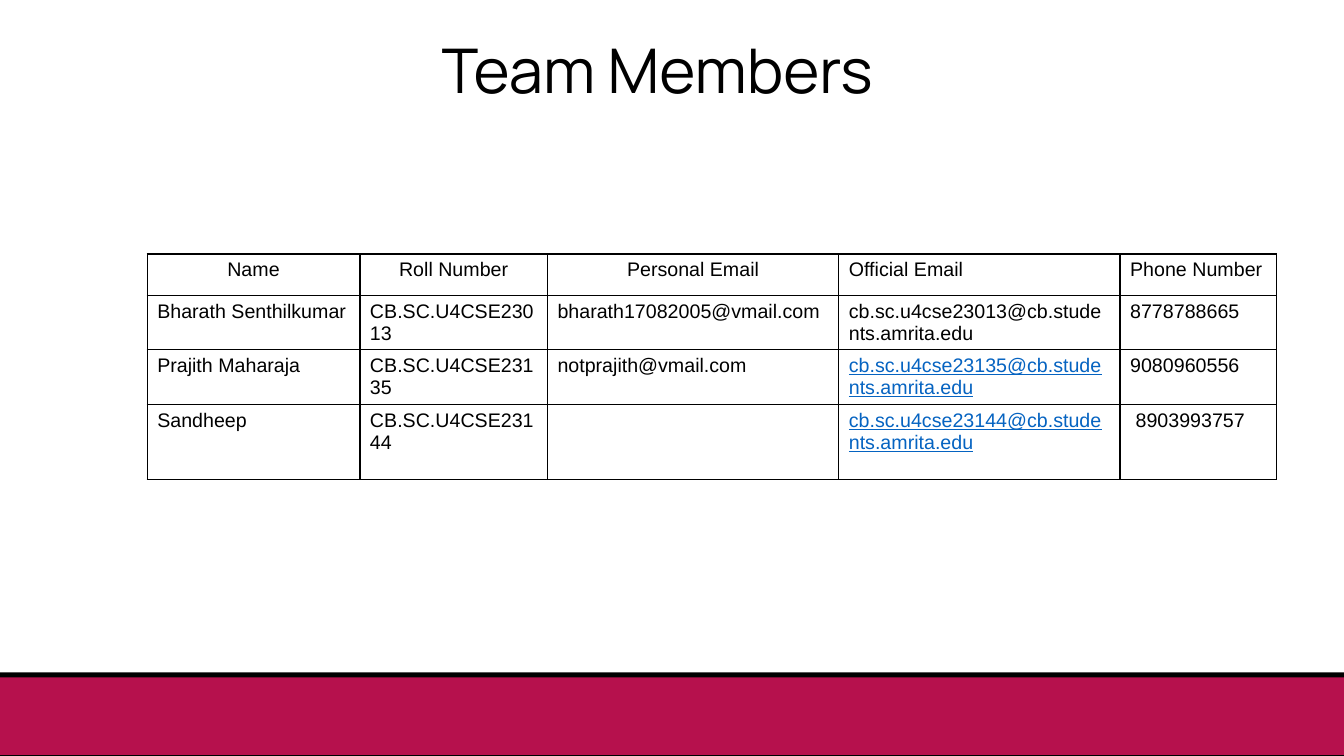
from lxml import etree
from pptx import Presentation
from pptx.dml.color import RGBColor
from pptx.enum.shapes import MSO_SHAPE
from pptx.enum.text import MSO_ANCHOR, PP_ALIGN
from pptx.oxml.ns import qn
from pptx.util import Inches, Pt

CENTER, LEFT = PP_ALIGN.CENTER, PP_ALIGN.LEFT
MIDDLE = MSO_ANCHOR.MIDDLE
RECTANGLE = MSO_SHAPE.RECTANGLE

COLORS = {"black": "000000", "crimson": "B6114D", "link": "0563C1"}
TITLE = "Team Members"
MEMBERS = [
    ("Name", "Roll Number", "Personal Email", "Official Email", "Phone Number"),
    ("Bharath Senthilkumar", "CB.SC.U4CSE23013", "bharath17082005@vmail.com",
     "cb.sc.u4cse23013@cb.students.amrita.edu", "8778788665"),
    ("Prajith Maharaja", "CB.SC.U4CSE23135", "notprajith@vmail.com",
     "cb.sc.u4cse23135@cb.students.amrita.edu", "9080960556"),
    ("Sandheep", "CB.SC.U4CSE23144", "",
     "cb.sc.u4cse23144@cb.students.amrita.edu", " 8903993757"),
]
COLUMN_WIDTHS = [2.11, 1.86, 2.89, 2.79, 1.55]
ROW_HEIGHTS = [0.41, 0.54, 0.54, 0.75]
CENTERED_HEADINGS = 3
OFFICIAL_EMAIL = 3
FIRST_LINKED_ROW = 2
FOOTER_BANDS = [(6.67, 0.84, "black"), (6.72, 0.77, "crimson")]


def color(name):
    return RGBColor.from_string(COLORS[name])


def add_footer_band(slide, top, height, fill):
    band = slide.shapes.add_shape(
        RECTANGLE, 0, Inches(top), Inches(13.33), Inches(height))
    band.shadow.inherit = False
    band.fill.solid()
    band.fill.fore_color.rgb = color(fill)
    band.line.fill.background()


def format_title(title):
    title.left, title.top = Inches(0.77), Inches(0)
    title.width, title.height = Inches(11.5), Inches(1.45)
    title.text_frame.text = TITLE
    title.text_frame.vertical_anchor = MIDDLE
    para = title.text_frame.paragraphs[0]
    para.alignment = CENTER
    para.line_spacing = 0.9
    font = para.runs[0].font
    font.name, font.size = "Manrope", Pt(44)
    font.color.rgb = color("black")


def add_borders(cell):
    properties = cell._tc.get_or_add_tcPr()
    for index, side in enumerate(("a:lnL", "a:lnR", "a:lnT", "a:lnB")):
        line = etree.Element(qn(side), w=str(Pt(1)))
        fill = etree.SubElement(line, qn("a:solidFill"))
        etree.SubElement(fill, qn("a:srgbClr"), val=COLORS["black"])
        properties.insert(index, line)


def fill_cell(cell, text, alignment, linked):
    cell.fill.background()
    add_borders(cell)
    cell.text_frame.text = text
    para = cell.text_frame.paragraphs[0]
    para.alignment = alignment
    for span in para.runs:
        span.font.name, span.font.size = "Arial", Pt(14)
        span.font.bold = False
        span.font.underline = linked
        span.font.color.rgb = color("link" if linked else "black")


def add_member_table(slide):
    frame = slide.shapes.add_table(
        len(MEMBERS), len(COLUMN_WIDTHS), Inches(1.46), Inches(2.52),
        Inches(sum(COLUMN_WIDTHS)), Inches(sum(ROW_HEIGHTS)))
    table = frame.table
    table.first_row = table.horz_banding = False
    for column, width in zip(table.columns, COLUMN_WIDTHS):
        column.width = Inches(width)
    for row, height in zip(table.rows, ROW_HEIGHTS):
        row.height = Inches(height)
    for r, member in enumerate(MEMBERS):
        for c, text in enumerate(member):
            alignment = CENTER if r == 0 and c < CENTERED_HEADINGS else LEFT
            linked = c == OFFICIAL_EMAIL and r >= FIRST_LINKED_ROW
            fill_cell(table.cell(r, c), text, alignment, linked)


def main():
    deck = Presentation()
    deck.slide_width, deck.slide_height = Inches(13.33), Inches(7.5)
    slide = deck.slides.add_slide(deck.slide_layouts[5])
    for top, height, fill in FOOTER_BANDS:
        add_footer_band(slide, top, height, fill)
    format_title(slide.shapes.title)
    add_member_table(slide)
    deck.save("out.pptx")


if __name__ == "__main__":
    main()
